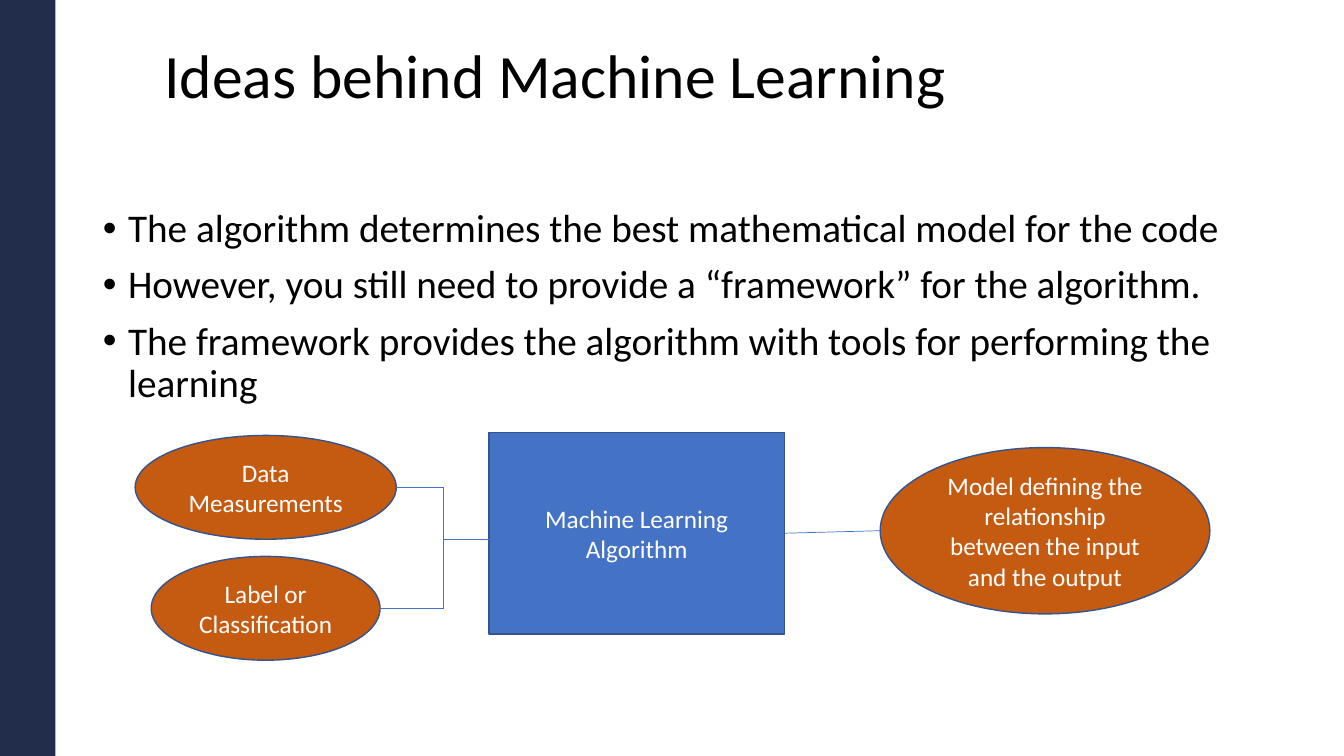
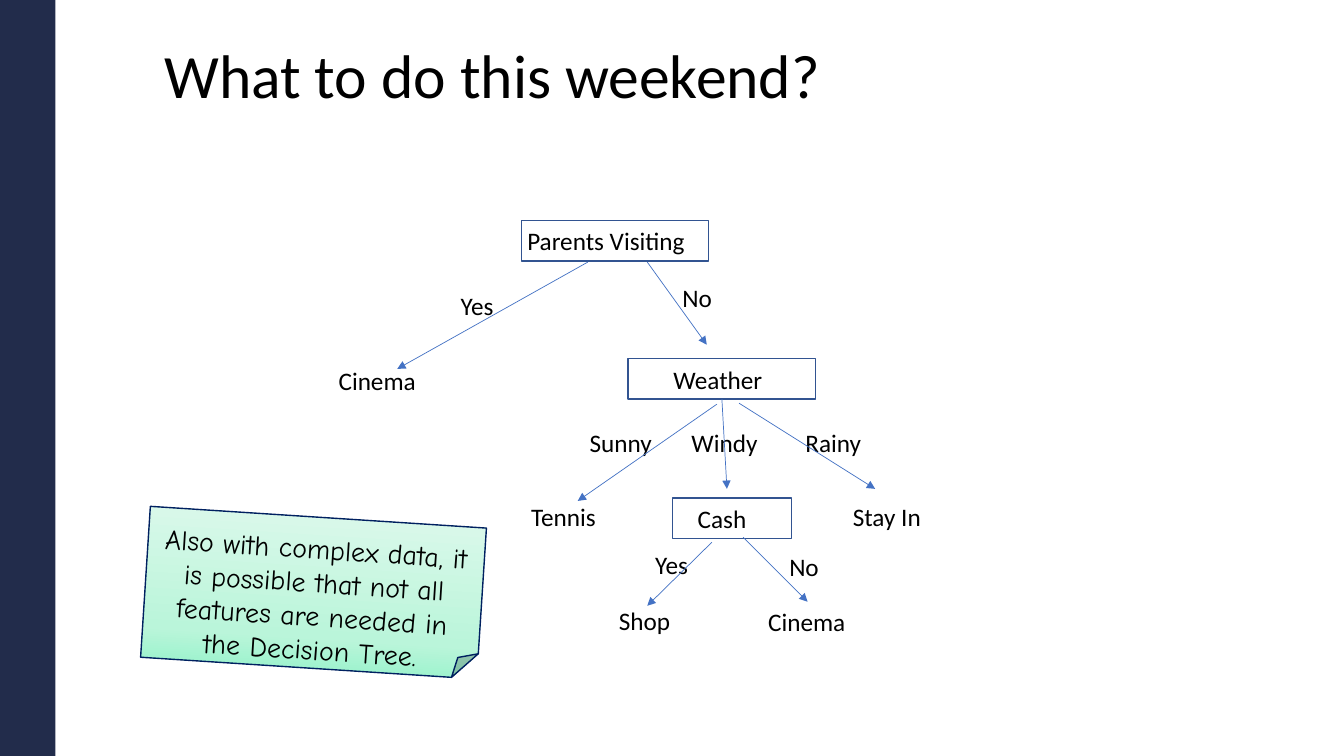
from copy import deepcopy

from pptx import Presentation
from pptx.dml.color import RGBColor
from pptx.enum.shapes import MSO_CONNECTOR, MSO_SHAPE
from pptx.enum.text import MSO_ANCHOR, MSO_AUTO_SIZE, PP_ALIGN
from pptx.oxml.ns import qn
from pptx.util import Inches, Pt
from lxml import etree

# Shared look
FONT, NOTE_FONT = "Calibri", "Comic Neue"
NAVY, BLUE, DARK_BLUE, ORANGE = "222C4B", "4472C4", "325491", "C55A11"
BLACK, WHITE, NOTE_LINE = "000000", "FFFFFF", "002060"
TITLE_AREA = (1.53, 0.4, 10.5, 1.45)
BODY_AREA = (0.92, 2.02, 11.5, 4.98)
LABEL_HEIGHT = 0.4

# Slide 1 content
IDEAS_TITLE = "Ideas behind Machine Learning"
IDEAS = [
    "The algorithm determines the best mathematical model for the code",
    "However, you still need to provide a “framework” for the algorithm.",
    "The framework provides the algorithm with tools for performing the learning",
]
ALGORITHM = ("Machine Learning Algorithm", (4.85, 4.29, 2.93, 2))
INPUTS = [
    ("Data Measurements", (1.34, 4.32, 2.59, 1.03)),
    ("Label or Classification", (1.5, 5.52, 2.27, 1.03)),
]
MODEL = ("Model defining the relationship between the input and the output",
         (8.73, 4.44, 3.27, 1.65))
JUNCTION_X, INPUT_END = 4.4, (4.87, 5.35)

# Slide 2 content: decisions are text, left, top, width, left inset
WEEKEND_TITLE = "What to do this weekend?"
DECISIONS = [
    ("Parents Visiting", 5.17, 2.19, 1.86, 0.06),
    ("Weather", 6.23, 3.56, 1.86, 0.45),
    ("Cash", 6.67, 4.94, 1.18, 0.25),
]
# Answers and outcomes are text, left, top, width
LABELS = [
    ("Yes", 4.47, 2.83, 0.53), ("No", 6.67, 2.75, 0.5),
    ("Sunny", 5.75, 4.19, 0.83), ("Windy", 6.76, 4.19, 0.86),
    ("Rainy", 7.89, 4.19, 0.76),
    ("Yes", 6.4, 5.4, 0.53), ("No", 7.73, 5.42, 0.5),
    ("Cinema", 3.26, 3.58, 0.98), ("Tennis", 5.17, 4.92, 0.85),
    ("Stay In", 8.36, 4.92, 0.88),
    ("Shop", 6.04, 5.96, 0.72), ("Cinema", 7.52, 5.97, 0.98),
]
ARROWS = [
    ((5.83, 2.6), (3.94, 3.66)), ((6.42, 2.6), (7.01, 3.42)),
    ((7.11, 4.01), (5.73, 4.97)), ((7.33, 4), (8.68, 4.85)),
    ((7.06, 5.38), (6.42, 6.01)), ((7.37, 5.33), (8.01, 5.97)),
]
WINDY_ARROW = ((7.16, 3.96), (7.21, 4.85))
NOTE = ("Also with complex data, it is possible that not all features "
        "are needed in the Decision Tree.")
NOTE_AREA, NOTE_ANGLE = (1.44, 5.13, 3.34, 1.5), 3.7
NOTE_STOPS = [(0, "8CF2C6"), (0.27, "BAF5DA"), (1, "DEF9EC")]


def rgb(value):
    return RGBColor.from_string(value)


def inches(values):
    return [Inches(value) for value in values]


def set_all(target, values):
    for name, value in values.items():
        setattr(target, name, value)


def format_paragraph(paragraph, size, color=BLACK, font=FONT, **layout):
    set_all(paragraph, layout)
    set_all(paragraph.font, {"name": font, "size": Pt(size)})
    paragraph.font.color.rgb = rgb(color)


def place_placeholder(placeholder, area):
    set_all(placeholder, dict(zip(("left", "top", "width", "height"), inches(area))))
    set_all(placeholder.text_frame, {"vertical_anchor": MSO_ANCHOR.TOP,
                                     "auto_size": MSO_AUTO_SIZE.NONE,
                                     "word_wrap": True})


def add_titled_slide(presentation, layout_index, title):
    slide = presentation.slides.add_slide(presentation.slide_layouts[layout_index])
    place_placeholder(slide.shapes.title, TITLE_AREA)
    slide.shapes.title.text_frame.text = title
    format_paragraph(slide.shapes.title.text_frame.paragraphs[0], 44,
                     alignment=PP_ALIGN.LEFT, line_spacing=0.9)
    return slide


def add_box(slide, kind, area, fill=None, line=None):
    shape = slide.shapes.add_shape(kind, *inches(area))
    shape.shadow.inherit = False
    if fill:
        shape.fill.solid()
        shape.fill.fore_color.rgb = rgb(fill)
    else:
        shape.fill.background()
    if line:
        shape.line.color.rgb = rgb(line)
        shape.line.width = Pt(1)
    else:
        shape.line.fill.background()
    return shape


def write(shape, text, size=18, color=BLACK, font=FONT,
          alignment=PP_ALIGN.CENTER, **frame):
    shape.text_frame.text = text
    set_all(shape.text_frame, {"word_wrap": True,
                               "vertical_anchor": MSO_ANCHOR.MIDDLE, **frame})
    format_paragraph(shape.text_frame.paragraphs[0], size, color, font,
                     alignment=alignment)


def add_line(slide, start, end, kind=MSO_CONNECTOR.STRAIGHT, arrow=False):
    connector = slide.shapes.add_connector(kind, *inches(start + end))
    connector.line.color.rgb = rgb(BLUE)
    connector.line.width = Pt(0.5)
    properties = connector.element.spPr
    if arrow:
        etree.SubElement(properties.find(qn("a:ln")), qn("a:tailEnd"), type="triangle")
    etree.SubElement(properties, qn("a:effectLst"))
    return connector


def add_elbow(slide, start, end, bend_x):
    connector = add_line(slide, start, end, MSO_CONNECTOR.ELBOW)
    geometry = connector.element.spPr.find(qn("a:prstGeom"))
    adjustments = geometry.find(qn("a:avLst"))
    if adjustments is None:
        adjustments = etree.SubElement(geometry, qn("a:avLst"))
    share = round((bend_x - start[0]) / (end[0] - start[0]) * 100000)
    etree.SubElement(adjustments, qn("a:gd"), name="adj1", fmla=f"val {share}")


def add_side_band(presentation, slide):
    # The band belongs to the master, behind everything else
    band = add_box(slide, MSO_SHAPE.RECTANGLE, (0, 0, 0.55, 7.5), NAVY)
    presentation.slide_master.shapes.element.insert(2, band.element)


def fill_bullets(placeholder, items):
    place_placeholder(placeholder, BODY_AREA)
    placeholder.text_frame.text = "\n".join(items)
    for index, paragraph in enumerate(placeholder.text_frame.paragraphs):
        properties = paragraph._p.get_or_add_pPr()
        properties.set("marL", str(Inches(0.25)))
        properties.set("indent", str(Inches(-0.25)))
        etree.SubElement(properties, qn("a:buChar"), char="•")
        format_paragraph(paragraph, 28, line_spacing=0.9,
                         space_before=Pt(10 if index else 0))


def build_ideas(slide):
    fill_bullets(slide.placeholders[1], IDEAS)

    # Algorithm, inputs and resulting model
    text, area = ALGORITHM
    algorithm = add_box(slide, MSO_SHAPE.RECTANGLE, area, BLUE, DARK_BLUE)
    write(algorithm, text, color=WHITE)
    for text, area in INPUTS + [MODEL]:
        write(add_box(slide, MSO_SHAPE.OVAL, area, ORANGE, DARK_BLUE), text, color=WHITE)

    # Connections
    for _, (left, top, width, height) in INPUTS:
        add_elbow(slide, (left + width, top + height / 2), INPUT_END, JUNCTION_X)
    left, top, width, height = ALGORITHM[1]
    model_left, model_top, _, model_height = MODEL[1]
    output = add_line(slide, (left + width, top + height / 2),
                      (model_left, model_top + model_height / 2))
    output.begin_connect(algorithm, 3)


def add_note(slide):
    note = add_box(slide, MSO_SHAPE.FOLDED_CORNER, NOTE_AREA, line=NOTE_LINE)
    note.rotation = NOTE_ANGLE
    note.fill.gradient()
    note.fill.gradient_angle = 90
    stops = note.element.spPr.find(qn("a:gradFill")).find(qn("a:gsLst"))
    stops.append(deepcopy(stops[0]))
    for stop, (position, color) in zip(note.fill.gradient_stops, NOTE_STOPS):
        stop.position = position
        stop.color.rgb = rgb(color)
    write(note, NOTE, size=20, font=NOTE_FONT,
          vertical_anchor=MSO_ANCHOR.TOP, margin_top=Inches(0.14))


def build_weekend(slide):
    # Decision boxes
    boxes = {}
    for text, left, top, width, inset in DECISIONS:
        boxes[text] = add_box(slide, MSO_SHAPE.RECTANGLE,
                              (left, top, width, LABEL_HEIGHT), line=DARK_BLUE)
        write(boxes[text], text, alignment=PP_ALIGN.LEFT,
              margin_left=Inches(inset), margin_right=0)

    # Answers and outcomes
    for text, left, top, width in LABELS:
        label = slide.shapes.add_textbox(*inches((left, top, width, LABEL_HEIGHT)))
        write(label, text, alignment=PP_ALIGN.LEFT, word_wrap=False,
              vertical_anchor=MSO_ANCHOR.TOP)

    # Branches
    for start, end in ARROWS:
        add_line(slide, start, end, arrow=True)
    windy = add_line(slide, *WINDY_ARROW, arrow=True)
    windy.begin_connect(boxes["Weather"], 2)

    add_note(slide)


def main():
    presentation = Presentation()
    set_all(presentation, {"slide_width": Inches(13.33), "slide_height": Inches(7.5)})
    ideas = add_titled_slide(presentation, 1, IDEAS_TITLE)
    add_side_band(presentation, ideas)
    build_ideas(ideas)
    build_weekend(add_titled_slide(presentation, 5, WEEKEND_TITLE))
    presentation.save("out.pptx")


if __name__ == "__main__":
    main()
